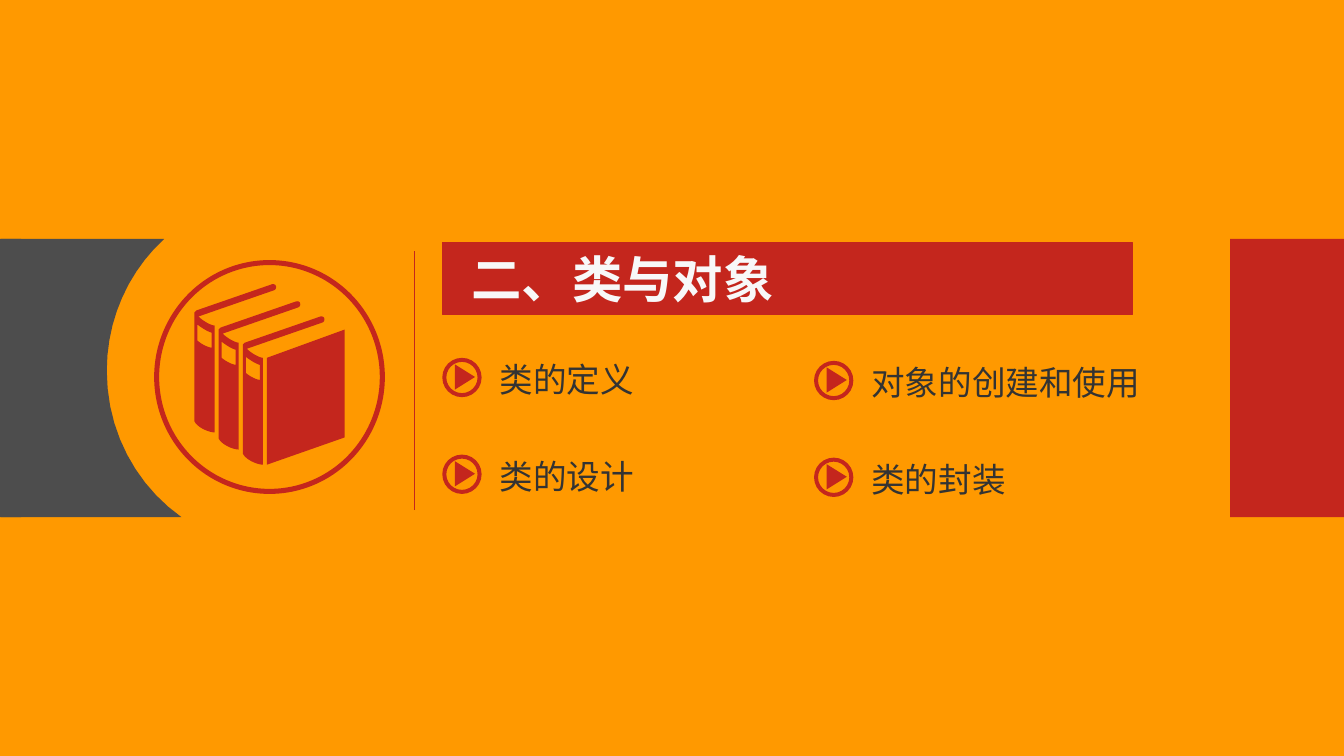
from lxml.etree import SubElement
from pptx import Presentation
from pptx.dml.color import RGBColor
from pptx.enum.shapes import MSO_CONNECTOR as CONN, MSO_SHAPE as SHAPE
from pptx.enum.text import MSO_AUTO_SIZE as AUTO
from pptx.oxml.ns import qn
from pptx.util import Pt

PX = 9144  # 100 px to the inch
ORANGE, RED, GREY, WHITE, INK = "FF9900", "C4261D", "4D4D4D", "F8F8F8", "333333"
CJK = "Noto Sans CJK SC"

TITLE = "二、类与对象"
TOPICS = [  # text, ring left, ring top, text width
    ("类的定义", 439, 355, 155),
    ("类的设计", 439, 451, 155),
    ("对象的创建和使用", 808, 358, 289),
    ("类的封装", 808, 454, 155),
]

# An outline lists points; a six-number entry is a Bezier curve.
PANEL = [(1, 237), (163, 237), (128, 269, 106, 316, 106, 368),
         (106, 428, 135, 481, 180, 513), (1, 513)]
BOOK = [(270, 282), (195, 308), (194, 309, 193, 310, 193, 310), (193, 418),
        (196, 424, 207, 429, 213, 429), (213, 323),
        (210, 323, 202, 319, 197, 314), (272, 288),
        (275, 287, 275, 281, 270, 282)]
LABEL = [(210, 330), (210, 345), (203, 344, 196, 338, 196, 338), (196, 322),
         (205, 329, 210, 330, 210, 330)]
COVER = [(265, 355), (265, 461), (342, 434), (342, 327)]
BOOK_OFFSETS = [(0, 0), (24, 17), (48, 32)]


def rgb(color):
    return RGBColor.from_string(color)


def paint(s, color):
    s.shadow.inherit = False
    s.fill.solid()
    s.fill.fore_color.rgb = rgb(color)
    s.line.fill.background()
    return s


def add_shape(shapes, kind, box, color):
    return paint(shapes.add_shape(kind, *[v * PX for v in box]), color)


def add_ring(shapes, box, thickness):
    s = add_shape(shapes, SHAPE.DONUT, box, RED)
    s.adjustments[0] = thickness / min(box[2:])


def flatten(outline, dx=0, dy=0, steps=10):
    """Turn an outline into EMU points, with curves cut into short lines."""
    points = []
    for entry in outline:
        if len(entry) == 2:
            points.append(entry)
            continue
        (x0, y0), (x1, y1, x2, y2, x3, y3) = points[-1], entry
        for t in (i / steps for i in range(1, steps + 1)):
            a, b, c, d = (1 - t)**3, 3 * t * (1 - t)**2, 3 * t * t * (1 - t), t**3
            points.append((a * x0 + b * x1 + c * x2 + d * x3,
                           a * y0 + b * y1 + c * y2 + d * y3))
    return [(round((x + dx) * PX), round((y + dy) * PX)) for x, y in points]


def add_outlines(shapes, contours, color):
    first, *others = contours
    builder = shapes.build_freeform(*first[0])
    builder.add_line_segments(first[1:], close=True)
    for points in others:
        builder.move_to(*points[0])
        builder.add_line_segments(points[1:], close=True)
    paint(builder.convert_to_shape(), color)


def add_text(shapes, text, box, size, font, color, bold=False, wrap=True):
    tf = shapes.add_textbox(*[v * PX for v in box]).text_frame
    tf.word_wrap = wrap
    tf.auto_size = AUTO.SHAPE_TO_FIT_TEXT
    r = tf.paragraphs[0].add_run()
    r.text = text
    r.font.size, r.font.bold, r.font.name = Pt(size), bold, font
    r.font.color.rgb = rgb(color)
    SubElement(r.font._element, qn("a:ea"), typeface=CJK)


def add_topic(shapes, text, left, top, width):
    group = shapes.add_group_shape().shapes
    add_ring(group, (left, top, 39, 39), 4)
    arrow = add_shape(group, SHAPE.ISOSCELES_TRIANGLE,
                      (left + 10, top + 9, 25, 20), RED)
    arrow.rotation = 90
    add_text(group, text, (left + 47, top - 4, width, 50), 24, "Arial", INK, wrap=False)


def main():
    prs = Presentation()
    prs.slide_width, prs.slide_height = 1334 * PX, 750 * PX
    slide = prs.slides.add_slide(prs.slide_layouts[6])
    slide.background.fill.solid()
    slide.background.fill.fore_color.rgb = rgb(ORANGE)
    shapes = slide.shapes

    add_shape(shapes, SHAPE.RECTANGLE, (0, 237, 21, 276), GREY)
    add_outlines(shapes, [flatten(PANEL)], GREY)
    add_shape(shapes, SHAPE.RECTANGLE, (1221, 237, 113, 276), RED)

    banner = add_shape(shapes, SHAPE.RECTANGLE, (439, 241, 685, 71), RED)
    banner.line.color.rgb = rgb(RED)
    banner.line.width = Pt(0.75)
    add_text(shapes, TITLE, (458, 241, 540, 71), 36, CJK, WHITE, bold=True)

    divider = shapes.add_connector(CONN.STRAIGHT, 411 * PX, 506 * PX, 411 * PX, 249 * PX)
    divider.line.color.rgb = rgb(RED)
    divider.line.width = Pt(0.75)
    SubElement(divider._element.spPr, qn("a:effectLst"))

    icon = shapes.add_group_shape().shapes
    add_ring(icon, (153, 258, 229, 232), 5)
    books = [flatten(part, dx, dy) for dx, dy in BOOK_OFFSETS for part in (BOOK, LABEL)]
    add_outlines(icon, books + [flatten(COVER)], RED)

    for topic in TOPICS:
        add_topic(shapes, *topic)
    prs.save("out.pptx")


if __name__ == "__main__":
    main()
